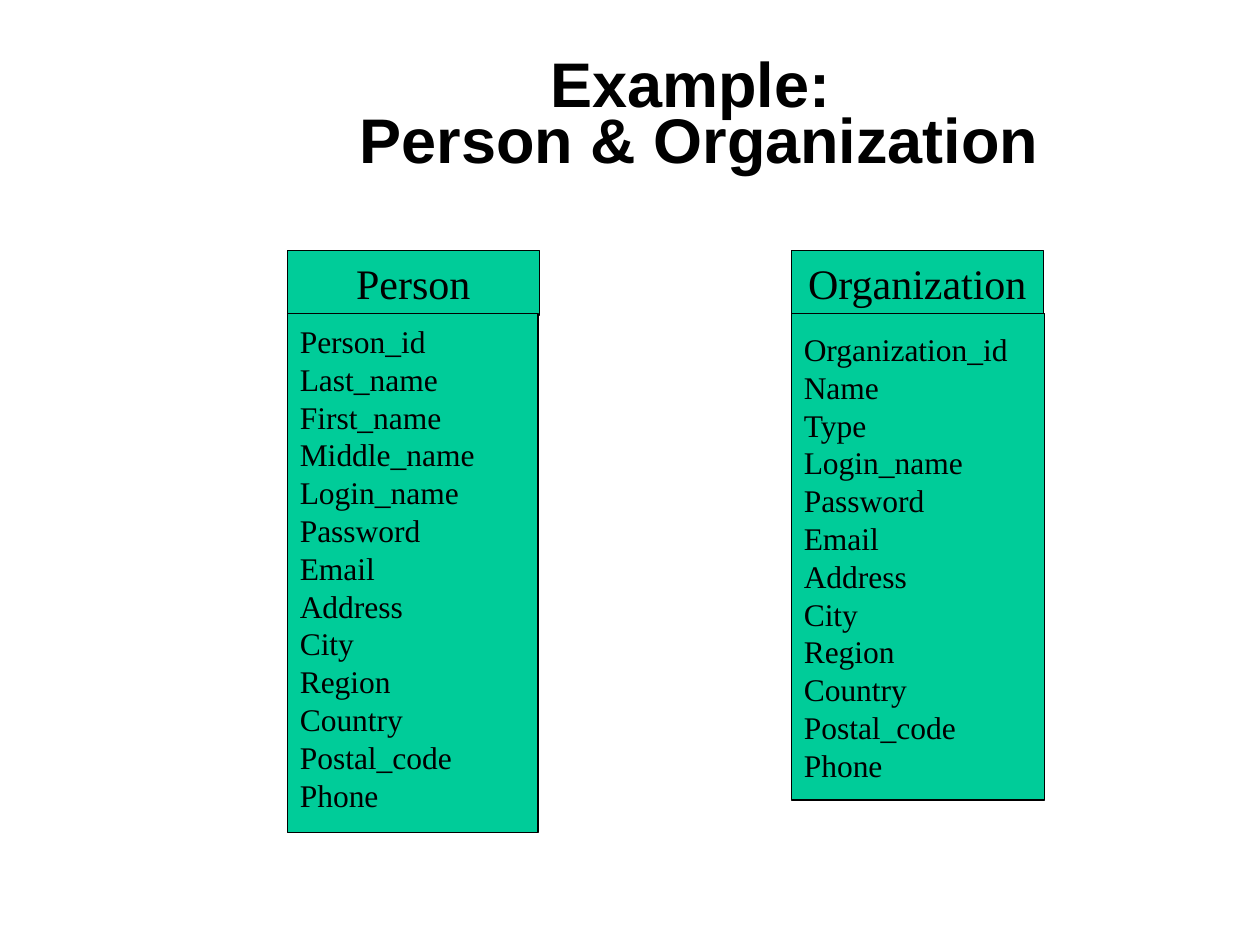
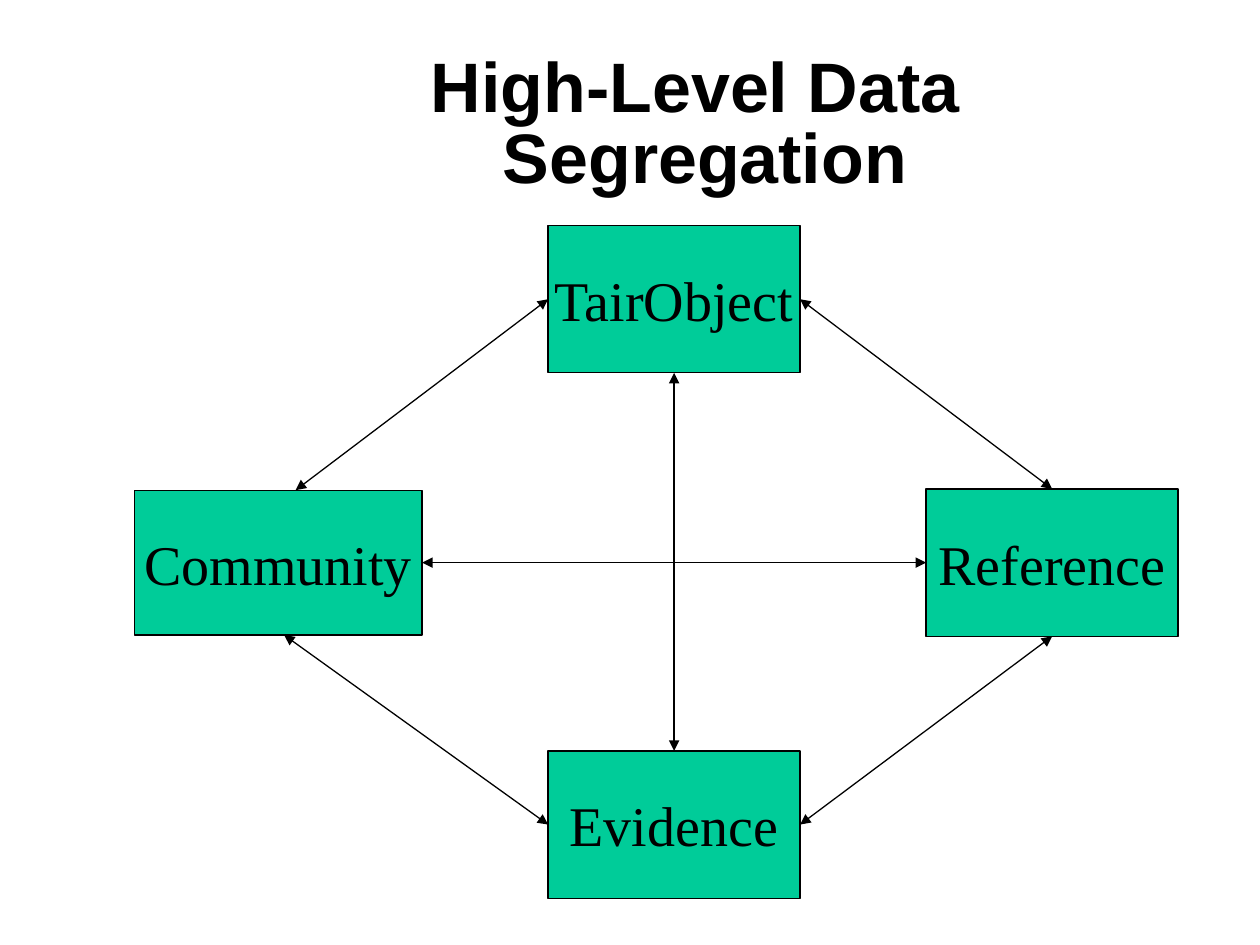
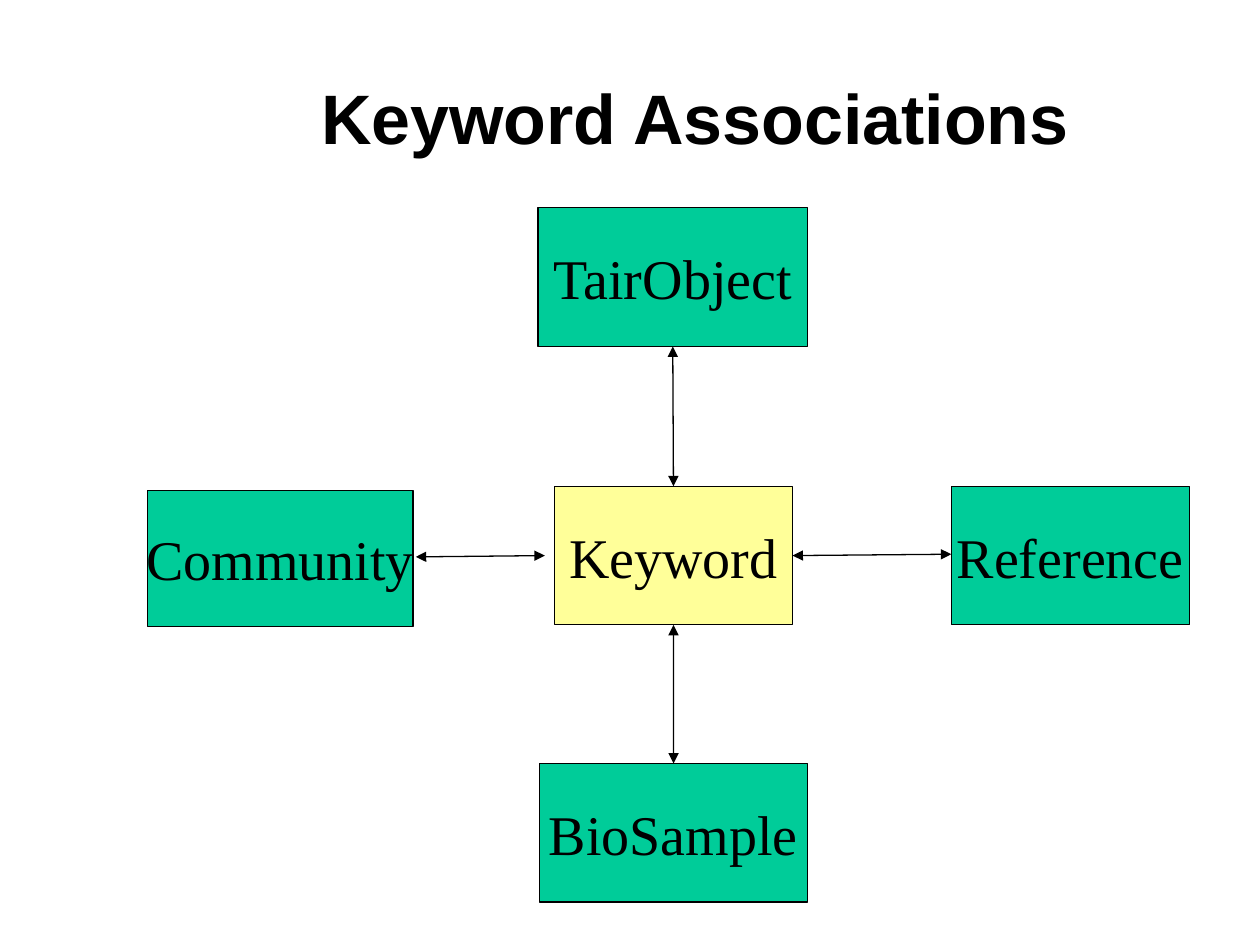
from lxml import etree
from pptx import Presentation
from pptx import util as u
from pptx.dml.color import RGBColor
from pptx.enum import shapes, text
from pptx.oxml import ns

# Shared look
COLOURS = {"ink": "000000", "entity": "00CC99", "keyword": "FFFF99"}
HEADING, BODY = "Arial", "Times New Roman"
LINE_WIDTH = 0.75
SIDES = {"top": (0.5, 0), "bottom": (0.5, 1), "left": (0, 0.5), "right": (1, 0.5)}

# Titles: wording, (left, top, width, height), font size, line pitch
TITLES = [
    ("Example: \vPerson & Organization", (113.8, 25.2, 571.7, 86.4), 36, 32),
    ("High-Level Data \vSegregation", (115.9, 27.4, 573.8, 90), 40, 40.3),
    ("Keyword Associations", (113.8, 30.2, 566.6, 85), 40, 35.5),
]

# Entities: name, left, header (width, height), body (width, height), bottom inset, fields
CONTACT = ["Login_name", "Password", "Email", "Address", "City", "Region",
           "Country", "Postal_code", "Phone"]
ENTITIES = [
    ("Organization", 452.2, (144, 36), (144.7, 277.9), 3.6,
     ["Organization_id", "Name", "Type"] + CONTACT),
    ("Person", 164.2, (144, 36.7), (143.3, 296.6), 10,
     ["Person_id", "Last_name", "First_name", "Middle_name"] + CONTACT),
]
HEADER_TOP, FIELDS_TOP, FIELD_PITCH = 143.3, 179.3, 21.6

# Diagrams: boxes by name, then arrows between (box, side or fractions of the box)
SEGREGATION = {
    "boxes": {
        "TairObject": (313.2, 128.9, 144, 84.2),
        "Community": (77, 280.1, 164.2, 82.8),
        "Evidence": (313.2, 429.1, 144, 84.2),
        "Reference": (529.2, 279.4, 144, 84.2),
    },
    "arrows": [
        (("Community", (0.56, 0)), ("TairObject", "left")),
        (("Community", "right"), ("Reference", "left")),
        (("Community", (0.52, 1)), ("Evidence", "left")),
        (("Evidence", "right"), ("Reference", "bottom")),
        (("TairObject", "right"), ("Reference", "top")),
        (("TairObject", "bottom"), ("Evidence", "top")),
    ],
}
ASSOCIATIONS = {
    "boxes": {
        "TairObject": (307.4, 118.8, 154.1, 79.2),
        "Community": (84.2, 280.1, 151.9, 77.8),
        "BioSample": (308.2, 436.3, 153.4, 79.2),
        "Reference": (543.6, 277.9, 136.1, 79.2),
        "Keyword": (316.8, 277.9, 136.1, 79.2),
    },
    "arrows": [
        (("BioSample", "top"), ("Keyword", "bottom")),
        (("Reference", (0, 0.49)), ("Keyword", "right")),
        (("Keyword", "top"), ("TairObject", "bottom")),
        (("Keyword", (-0.04, 0.5)), ("Community", (1.01, 0.49))),
    ],
}


def colour(name):
    return RGBColor.from_string(COLOURS[name])


def apply(target, values):
    for key, value in values.items():
        setattr(target, key, value)


def write(shape, lines, size, font=BODY, bold=False, centred=True, pitch=None,
          wrap=True, bottom=3.6):
    frame = shape.text_frame
    apply(frame, {"word_wrap": wrap, "vertical_anchor": text.MSO_ANCHOR.MIDDLE,
                  "margin_left": u.Pt(7.2), "margin_right": u.Pt(7.2),
                  "margin_top": u.Pt(3.6), "margin_bottom": u.Pt(bottom)})
    frame.text = "\n".join(lines)
    align = text.PP_ALIGN.CENTER if centred else text.PP_ALIGN.LEFT
    for paragraph in frame.paragraphs:
        paragraph.alignment = align
        if pitch:
            paragraph.line_spacing = u.Pt(pitch)
        for run in paragraph.runs:
            apply(run.font, {"name": font, "size": u.Pt(size), "bold": bold})
            run.font.color.rgb = colour("ink")


def add_title(slide, wording, place, size, pitch):
    title = slide.shapes.add_textbox(*map(u.Pt, place))
    write(title, [wording], size, HEADING, bold=True, pitch=pitch)


def add_box(slide, place, lines, size, fill="entity", **style):
    box = slide.shapes.add_shape(shapes.MSO_SHAPE.RECTANGLE, *map(u.Pt, place))
    box.shadow.inherit = False
    box.fill.solid()
    box.fill.fore_color.rgb = colour(fill)
    box.line.color.rgb = colour("ink")
    box.line.width = u.Pt(LINE_WIDTH)
    write(box, lines, size, **style)


def anchor(boxes, end):
    name, side = end
    left, top, width, height = boxes[name]
    across, down = SIDES[side] if isinstance(side, str) else side
    return u.Pt(left + across * width), u.Pt(top + down * height)


def add_arrow(slide, start, finish):
    arrow = slide.shapes.add_connector(shapes.MSO_CONNECTOR.STRAIGHT, *start, *finish)
    arrow.line.color.rgb = colour("ink")
    arrow.line.width = u.Pt(LINE_WIDTH)
    outline = arrow.line._get_or_add_ln()
    for tag in ("a:headEnd", "a:tailEnd"):
        etree.SubElement(outline, ns.qn(tag), type="triangle")
    etree.SubElement(arrow._element.spPr, ns.qn("a:effectLst"))


def add_entities(slide):
    for name, left, header, body, bottom, fields in ENTITIES:
        add_box(slide, (left, HEADER_TOP, *header), [name], 24, wrap=False)
        add_box(slide, (left, FIELDS_TOP, *body), fields, 18, centred=False,
                pitch=FIELD_PITCH, bottom=bottom)


def add_diagram(slide, diagram):
    boxes = diagram["boxes"]
    for name, place in boxes.items():
        fill = "keyword" if name == "Keyword" else "entity"
        add_box(slide, place, [name], 32, fill, wrap=False)
    for start, finish in diagram["arrows"]:
        add_arrow(slide, anchor(boxes, start), anchor(boxes, finish))


def main():
    deck = Presentation()
    deck.slide_width, deck.slide_height = u.Pt(720), u.Pt(540)
    pages = []
    for title in TITLES:
        pages.append(deck.slides.add_slide(deck.slide_layouts[6]))
        add_title(pages[-1], *title)
    example, segregation, associations = pages
    add_entities(example)
    add_diagram(segregation, SEGREGATION)
    add_diagram(associations, ASSOCIATIONS)
    deck.save("out.pptx")


if __name__ == "__main__":
    main()
